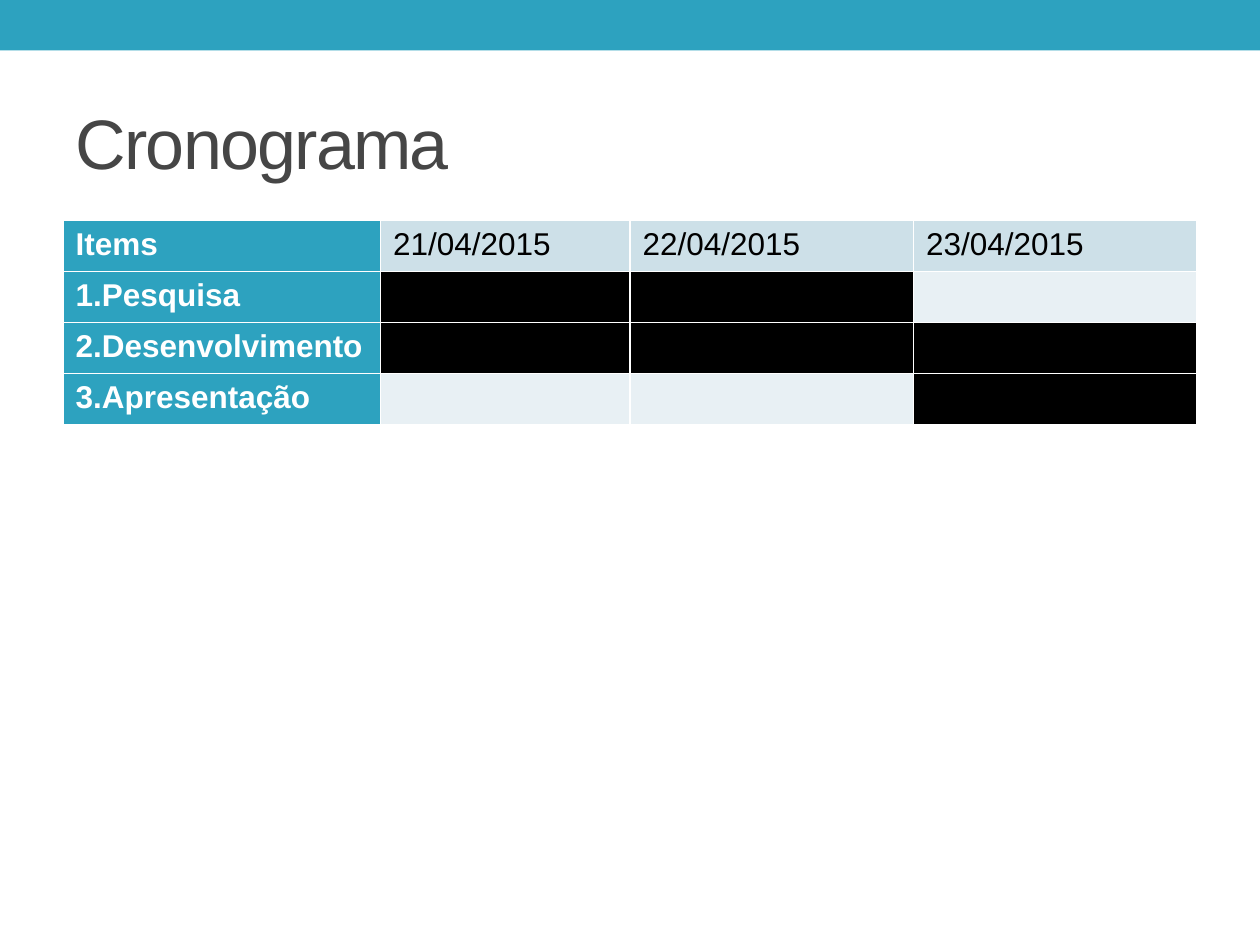
import pptx
import pptx.dml.color
import pptx.enum.shapes
import pptx.enum.text
import pptx.oxml
import pptx.oxml.ns
import pptx.util

TEAL, HEADER, PALE = "2DA2BF", "CDE0E8", "E8F0F4"
BLACK, WHITE, GREY = "000000", "FFFFFF", "464646"


def paint(fill, colour):
    fill.solid()
    fill.fore_color.rgb = pptx.dml.color.RGBColor.from_string(colour)


def write(frame, text, size=18, colour=BLACK, bold=False, spacing=0):
    """Put text in the frame's first paragraph; spacing is in points."""
    run = frame.paragraphs[0].add_run()
    run.text = text
    run.font.name = "Arial"
    run.font.size = pptx.util.Pt(size)
    run.font.bold = bold
    paint(run.font.fill, colour)
    if spacing:
        run.font._element.set("spc", str(spacing * 100))


deck = pptx.Presentation()
deck.slide_width = pptx.util.Inches(10)
deck.slide_height = pptx.util.Inches(7.5)
slide = deck.slides.add_slide(deck.slide_layouts[5])
margin = int(deck.slide_width * 0.05)
content_width = deck.slide_width - 2 * margin

band = slide.shapes.add_shape(
    pptx.enum.shapes.MSO_SHAPE.RECTANGLE, 0, 0, deck.slide_width, pptx.util.Inches(0.4))
band.shadow.inherit = False
band.line.fill.background()
paint(band.fill, TEAL)

title = slide.shapes.title
title.left, title.top = margin, pptx.util.Inches(0.58)
title.width, title.height = content_width, pptx.util.Inches(1.08)
title.text_frame.vertical_anchor = pptx.enum.text.MSO_ANCHOR.MIDDLE
title.text_frame.paragraphs[0].alignment = pptx.enum.text.PP_ALIGN.LEFT
write(title.text_frame, "Cronograma", size=40, colour=GREY, spacing=-1)

dates = ["21/04/2015", "22/04/2015", "23/04/2015"]
# Each task is followed by the days on which it is worked.
tasks = [
    ("1.Pesquisa", dates[:2]),
    ("2.Desenvolvimento", dates),
    ("3.Apresentação", dates[2:]),
]
column_shares = [0.28, 0.22, 0.25, 0.25]
row_height = pptx.util.Inches(0.405)

schedule = slide.shapes.add_table(
    len(tasks) + 1, len(dates) + 1, margin, pptx.util.Inches(1.75),
    content_width, row_height * (len(tasks) + 1)).table
schedule.first_row = schedule.horz_banding = False
for column, share in zip(schedule.columns, column_shares):
    column.width = int(content_width * share)
for row in schedule.rows:
    row.height = row_height

for cell in schedule.iter_cells():
    for side in ("lnL", "lnR", "lnT", "lnB"):
        cell._tc.get_or_add_tcPr().append(pptx.oxml.parse_xml(
            f'<a:{side} {pptx.oxml.ns.nsdecls("a")} w="12700"><a:solidFill>'
            f'<a:srgbClr val="{WHITE}"/></a:solidFill></a:{side}>'))

for row, label in enumerate(["Items"] + [task for task, _ in tasks]):
    paint(schedule.cell(row, 0).fill, TEAL)
    write(schedule.cell(row, 0).text_frame, label, colour=WHITE, bold=True)

for column, date in enumerate(dates, start=1):
    paint(schedule.cell(0, column).fill, HEADER)
    write(schedule.cell(0, column).text_frame, date)
    for row, (_, working_days) in enumerate(tasks, start=1):
        paint(schedule.cell(row, column).fill, BLACK if date in working_days else PALE)

deck.save("out.pptx")
